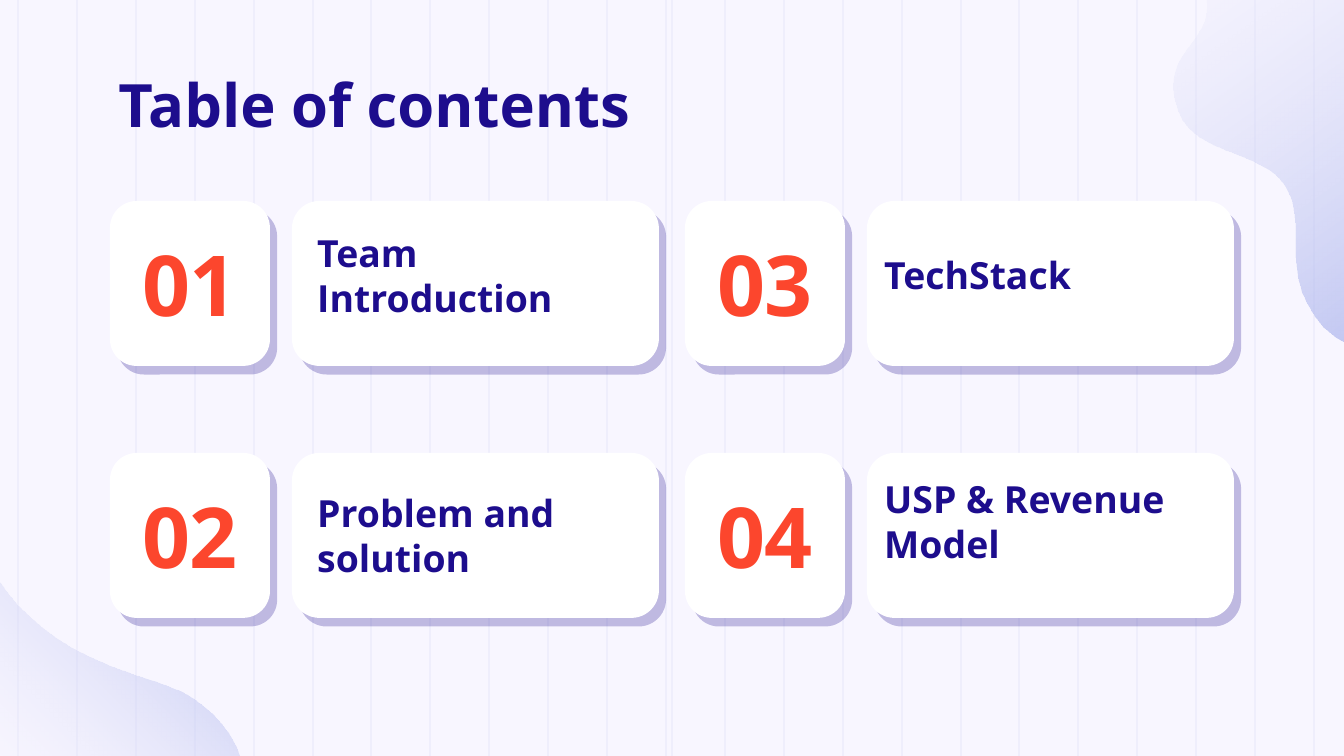
from dataclasses import dataclass

from lxml import etree
from pptx import Presentation, util as u
from pptx.dml.color import RGBColor
from pptx.enum import shapes, text
from pptx.oxml.ns import nsdecls, qn

WIDE, HIGH = 1344, 756
SCALE = 9144000 / WIDE
FONT = "Open Sans"
INSET = u.Inches(0.1)

NAVY = RGBColor(0x1D, 0x0D, 0x8D)
RED = RGBColor(0xFC, 0x46, 0x2D)
WHITE = RGBColor(0xFF, 0xFF, 0xFF)
PALE = RGBColor(0xF8, 0xF6, 0xFF)
BLUE = RGBColor(0x9B, 0xA6, 0xE9)
STRIPE = RGBColor(0xEF, 0xEE, 0xFC)

Point = tuple[int, int]


@dataclass(frozen=True)
class Box:
    x: int
    y: int
    w: int
    h: int


@dataclass(frozen=True)
class Entry:
    mark: str
    label: str
    col: int
    row: int
    text_x: int
    text_y: int


@dataclass(frozen=True)
class Blob:
    """A closed outline: Bezier curves first, then straight corners."""
    start: Point
    curves: list[tuple[Point, Point, Point]]
    corners: list[Point]
    angle: int


ENTRIES = [
    Entry("01", "Team Introduction", 0, 0, 304, 253),
    Entry("02", "Problem and solution", 0, 1, 304, 513),
    Entry("03", "TechStack", 1, 0, 871, 253),
    Entry("04", "USP & Revenue Model", 1, 1, 871, 499),
]

BLOBS = [
    Blob((243, 769), [
        ((239, 737), (211, 707), (183, 692)),
        ((153, 679), (120, 672), (90, 657)),
        ((46, 637), (9, 603), (-13, 560)),
    ], [(-13, 769)], 315),
    Blob((1425, 298), [
        ((1415, 321), (1387, 351), (1360, 347)),
        ((1322, 340), (1298, 298), (1296, 265)),
        ((1293, 238), (1300, 210), (1286, 187)),
        ((1267, 155), (1216, 156), (1189, 128)),
        ((1172, 110), (1168, 81), (1180, 59)),
        ((1188, 44), (1203, 32), (1206, 15)),
        ((1208, 4), (1206, -8), (1204, -19)),
        ((1202, -43), (1211, -77), (1234, -87)),
        ((1249, -94), (1271, -93), (1286, -86)),
        ((1301, -81), (1313, -70), (1324, -59)),
        ((1388, -1), (1423, 81), (1439, 169)),
        ((1439, 169), (1454, 241), (1425, 298)),
    ], [], 55),
]


def px(n: int) -> int:
    return round(n * SCALE)


def place(box: Box) -> tuple[int, int, int, int]:
    return px(box.x), px(box.y), px(box.w), px(box.h)


def draw_line(slide, x: int) -> None:
    line = slide.shapes.add_connector(
        shapes.MSO_CONNECTOR.STRAIGHT, px(x), 0, px(x), px(HIGH))
    line.line.color.rgb = STRIPE
    line.line.width = u.Pt(0.75)
    etree.SubElement(line._element.spPr, qn("a:effectLst"))


def bend(shape, blob: Blob) -> None:
    """Make the straight steps of the outline into Bezier curves."""
    steps = list(shape._element.spPr.iter(qn("a:lnTo")))
    for step, curve in zip(steps, blob.curves):
        arc = etree.Element(qn("a:cubicBezTo"))
        for x, y in curve:
            etree.SubElement(arc, qn("a:pt"), x=str(px(x) - shape.left),
                             y=str(px(y) - shape.top))
        step.getparent().replace(step, arc)


def draw_blob(slide, blob: Blob) -> None:
    form = slide.shapes.build_freeform(px(blob.start[0]), px(blob.start[1]))
    nodes = [curve[-1] for curve in blob.curves] + blob.corners
    form.add_line_segments([(px(x), px(y)) for x, y in nodes], close=True)
    shape = form.convert_to_shape()
    bend(shape, blob)
    shape.shadow.inherit = False
    shape.line.fill.background()
    stops = "".join(
        f'<a:gs pos="{pos}"><a:srgbClr val="{color}">'
        f'<a:alpha val="{alpha}"/></a:srgbClr></a:gs>'
        for pos, color, alpha in ((0, PALE, 20000), (100000, BLUE, 70000)))
    fill = etree.fromstring(
        f'<a:gradFill {nsdecls("a")}><a:gsLst>{stops}</a:gsLst>'
        f'<a:lin ang="{blob.angle * 60000}" scaled="0"/></a:gradFill>')
    shape._element.spPr.find(qn("a:custGeom")).addnext(fill)


def draw_card(slide, box: Box) -> None:
    card = slide.shapes.add_shape(
        shapes.MSO_SHAPE.ROUNDED_RECTANGLE, *place(box))
    card.adjustments[0] = 0.167
    card.fill.solid()
    card.fill.fore_color.rgb = WHITE
    card.line.fill.background()
    card.shadow.inherit = False
    cast = etree.fromstring(
        f'<a:outerShdw {nsdecls("a")} blurRad="0" dist="{u.Pt(6)}" '
        f'dir="{50 * 60000}" algn="bl" rotWithShape="0">'
        f'<a:srgbClr val="{NAVY}"><a:alpha val="25000"/></a:srgbClr>'
        '</a:outerShdw>')
    card._element.spPr.find(qn("a:effectLst")).append(cast)


def write(shape, words: str, size: int, color: RGBColor,
          align=text.PP_ALIGN.LEFT, anchor=text.MSO_ANCHOR.MIDDLE) -> None:
    frame = shape.text_frame
    frame.word_wrap = True
    frame.auto_size = text.MSO_AUTO_SIZE.NONE
    frame.vertical_anchor = anchor
    frame.margin_left = frame.margin_right = INSET
    frame.margin_top = frame.margin_bottom = INSET
    para = frame.paragraphs[0]
    para.alignment = align
    run = para.add_run()
    run.text = words
    run.font.name = FONT
    run.font.size = u.Pt(size)
    run.font.bold = True
    run.font.color.rgb = color


def draw_entry(slide, entry: Entry) -> None:
    x, y = 110 + 575 * entry.col, 201 + 252 * entry.row
    draw_card(slide, Box(x, y, 160, 165))
    draw_card(slide, Box(x + 182, y, 367, 165))
    label = slide.shapes.add_textbox(
        *place(Box(entry.text_x, entry.text_y, 348, 44)))
    write(label, entry.label, 20, NAVY)
    mark = slide.shapes.add_textbox(*place(Box(x, y + 17, 160, 130)))
    write(mark, entry.mark, 45, RED, text.PP_ALIGN.CENTER)


def draw_title(slide) -> None:
    title = slide.shapes.title
    title.left, title.top, title.width, title.height = place(
        Box(105, 54, 1134, 103))
    write(title, "Table of contents", 32, NAVY, anchor=text.MSO_ANCHOR.TOP)
    slide.shapes._spTree.append(title._element)  # in front of the stripes


def main() -> None:
    deck = Presentation()
    deck.slide_width, deck.slide_height = px(WIDE), px(HIGH)
    slide = deck.slides.add_slide(deck.slide_layouts[5])
    slide.background.fill.solid()
    slide.background.fill.fore_color.rgb = PALE
    for i in range(23):
        draw_line(slide, 18 + round(i * 1296 / 22))
    draw_line(slide, WIDE // 2)
    for blob in BLOBS:
        draw_blob(slide, blob)
    draw_title(slide)
    for entry in ENTRIES:
        draw_entry(slide, entry)
    deck.save("out.pptx")


if __name__ == "__main__":
    main()
